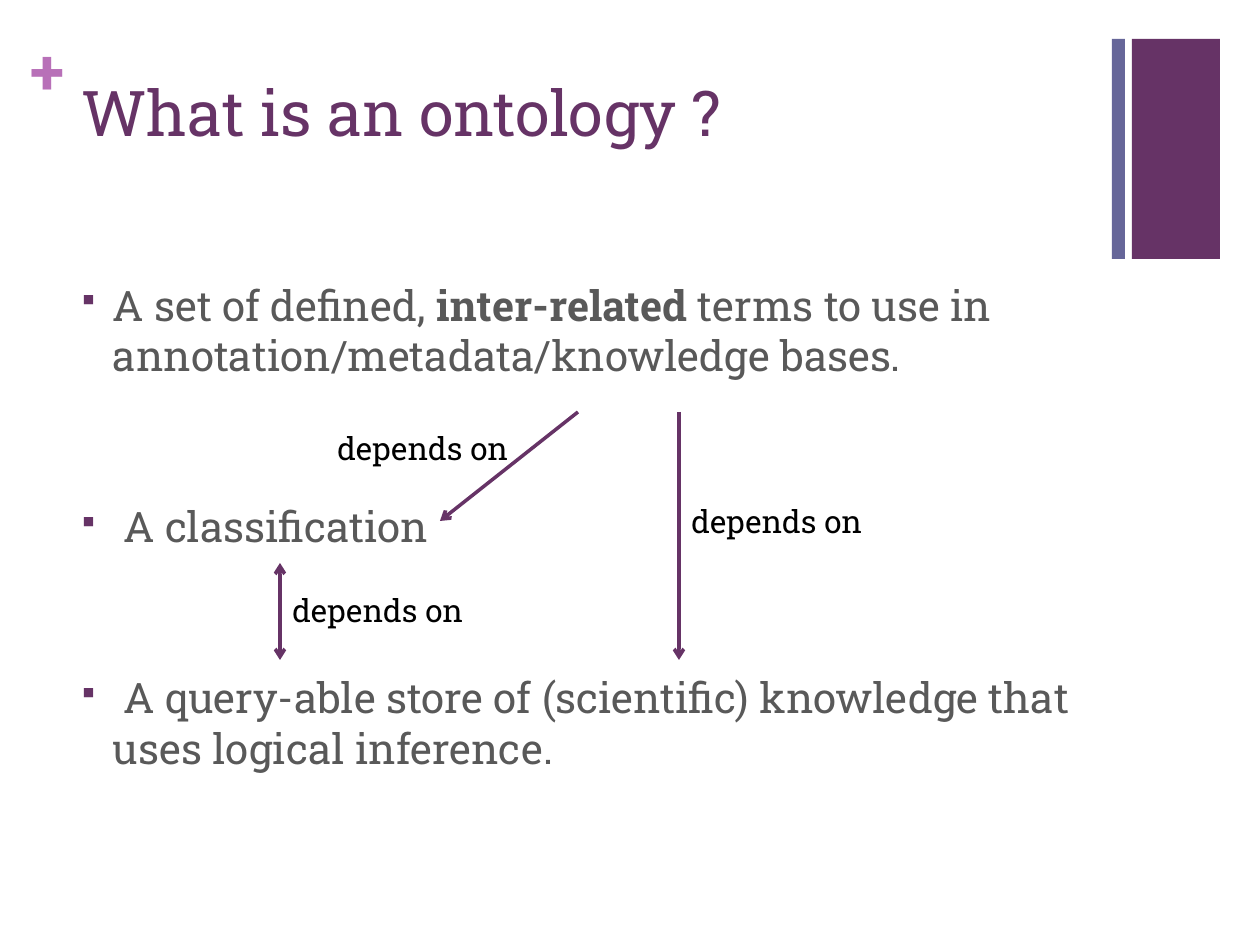
from lxml import etree
from pptx import Presentation
from pptx import util as u
from pptx.dml.color import RGBColor
from pptx.enum import shapes, text
from pptx.oxml.ns import qn

PX = 914400 // 126
FONT = "Roboto Slab"
COLORS = {"plum": "663366", "slate": "666699", "orchid": "B870B8",
          "body": "595959", "label": "000000"}


def rgb(name):
    """Return the named colour."""
    return RGBColor.from_string(COLORS[name])


def px(*values):
    """Turn pixel lengths into EMU."""
    return [u.Emu(v * PX) for v in values]


def add_rect(s, box, color):
    """Add a plain filled rectangle."""
    sp = s.shapes.add_shape(shapes.MSO_SHAPE.RECTANGLE, *px(*box))
    sp.shadow.inherit = False
    sp.fill.solid()
    sp.fill.fore_color.rgb = rgb(color)
    sp.line.fill.background()


def add_run(p, content, size=24, color="body", bold=False):
    """Add a formatted run to a paragraph."""
    r = p.add_run()
    r.text = content
    r.font.name, r.font.size, r.font.bold = FONT, u.Pt(size), bold
    r.font.color.rgb = rgb(color)


def add_frame(s, box, wrap=True, inset=True):
    """Add an empty text box and return its text frame."""
    tf = s.shapes.add_textbox(*px(*box)).text_frame
    tf.word_wrap = wrap
    tf.vertical_anchor = text.MSO_ANCHOR.TOP
    if not inset:
        tf.margin_left = tf.margin_top = tf.margin_right = tf.margin_bottom = 0
    return tf


def add_text(s, box, content, wrap=True, inset=True, **fmt):
    """Add a one-paragraph text box."""
    add_run(add_frame(s, box, wrap, inset).paragraphs[0], content, **fmt)


def set_bullet(p):
    """Give a paragraph a hanging square bullet."""
    pPr = p._p.get_or_add_pPr()
    pPr.set("marL", str(u.Inches(0.25)))
    pPr.set("indent", str(-u.Inches(0.25)))
    clr = etree.SubElement(pPr, qn("a:buClr"))
    etree.SubElement(clr, qn("a:srgbClr"), val=COLORS["plum"])
    etree.SubElement(pPr, qn("a:buSzPct"), val="75000")
    etree.SubElement(pPr, qn("a:buFont"), typeface="Wingdings", charset="2")
    etree.SubElement(pPr, qn("a:buChar"), char="§")


def add_bullets(s, box, items, gap):
    """Add a bulleted list; each item is a list of (text, bold) runs."""
    tf = add_frame(s, box)
    for i, runs in enumerate(items):
        p = tf.add_paragraph() if i else tf.paragraphs[0]
        p.space_before = u.Pt(gap if i else 0)
        set_bullet(p)
        for content, bold in runs:
            add_run(p, content, bold=bold)


def add_arrow(s, ends, both=False):
    """Add an arrow between two points."""
    c = s.shapes.add_connector(shapes.MSO_CONNECTOR.STRAIGHT, *px(*ends))
    c.line.color.rgb = rgb("plum")
    c.line.width = u.Pt(2)
    ln = c.line._get_or_add_ln()
    for tag in ["a:headEnd", "a:tailEnd"] if both else ["a:tailEnd"]:
        etree.SubElement(ln, qn(tag), type="arrow")
    etree.SubElement(c._element.spPr, qn("a:effectLst"))


def main():
    """Build the slide and save it."""
    prs = Presentation()
    prs.slide_width, prs.slide_height = u.Inches(10), u.Inches(7.5)
    s = prs.slides.add_slide(prs.slide_layouts[6])

    add_rect(s, (1132, 39, 88, 220), "plum")
    add_text(s, (31, 32, 37, 77), "+", inset=False, size=36, color="orchid", bold=True)
    add_rect(s, (1112, 39, 13, 220), "slate")
    add_text(s, (69, 67, 1041, 154), "What is an ontology ?", size=36, color="plum")
    add_bullets(s, (69, 273, 1041, 571), [
        [("A set of defined, ", False), ("inter-related ", True),
         ("terms to use in annotation/metadata/knowledge bases.", False)],
        [(" A classification", False)],
        [(" A query-able store of (scientific) knowledge that uses logical inference.",
          False)],
    ], gap=69)

    add_arrow(s, (280, 563, 280, 660), both=True)
    add_arrow(s, (578, 412, 440, 521))
    add_arrow(s, (679, 412, 679, 660))
    for x, y in [(325, 423), (679, 496), (280, 585)]:
        add_text(s, (x, y, 199, 50), "depends on", wrap=False, size=18, color="label")

    prs.save("out.pptx")


if __name__ == "__main__":
    main()
